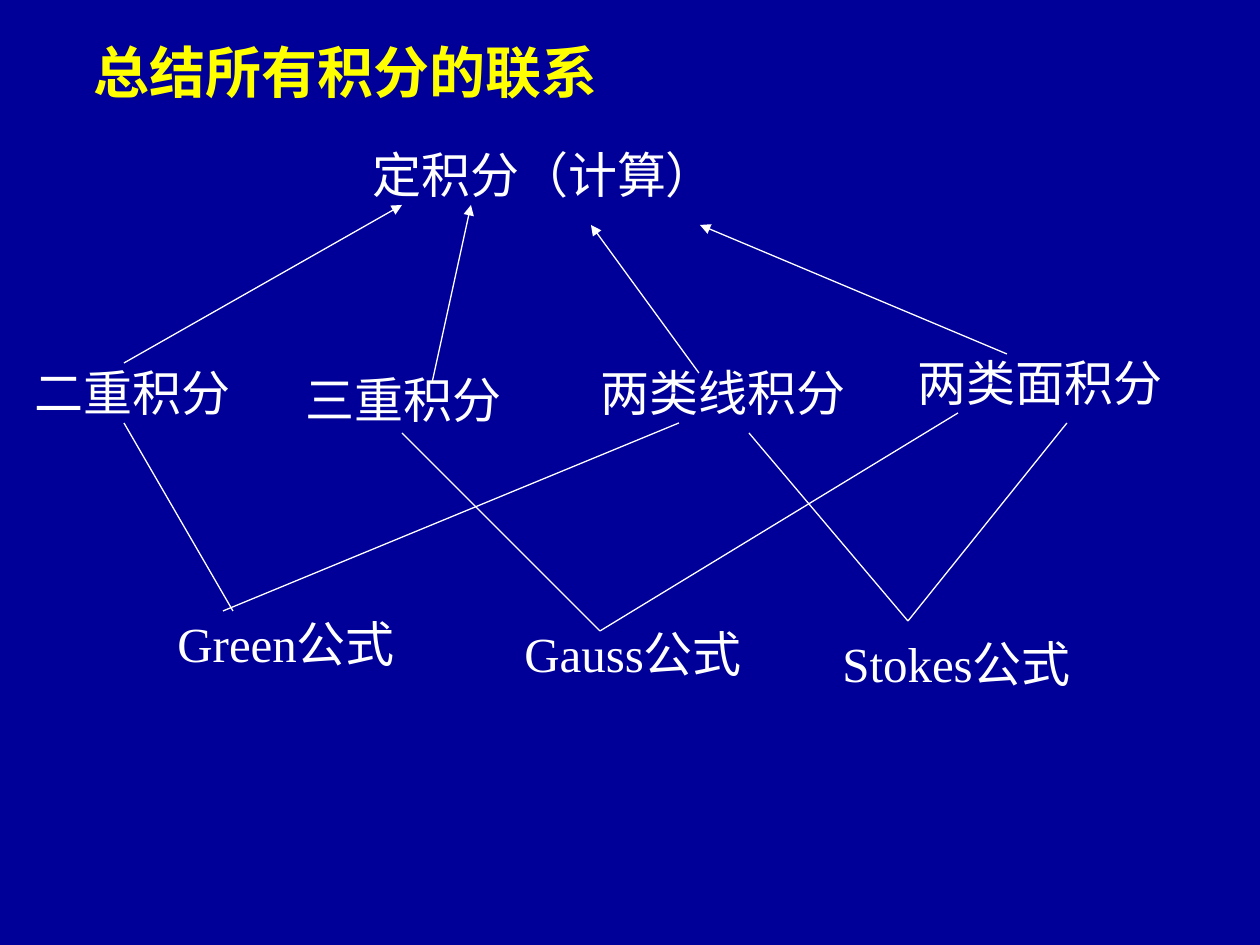
from pptx import Presentation, util as u
from pptx.dml.color import RGBColor
from pptx.enum import shapes, text
from pptx.oxml.ns import qn
from lxml import etree

PX = 914400 // 126
HUES = {"back": "000099", "title": "FFFF00", "ink": "FFFFFF"}
FACE = "Times New Roman"


def hue(name):
    return RGBColor.from_string(HUES[name])


def write(shape, words, size=28, color="ink", bold=False):
    frame = shape.text_frame
    frame.word_wrap = False
    frame.auto_size = text.MSO_AUTO_SIZE.SHAPE_TO_FIT_TEXT
    frame.vertical_anchor = text.MSO_ANCHOR.TOP
    para = frame.paragraphs[0]
    para.alignment = text.PP_ALIGN.LEFT
    run = para.add_run()
    run.text = words
    font = run.font
    font.name, font.size, font.bold = FACE, u.Pt(size), bold
    font.color.rgb = hue(color)


class Board:
    def __init__(self, deck):
        self.slide = deck.slides.add_slide(deck.slide_layouts[5])
        fill = self.slide.background.fill
        fill.solid()
        fill.fore_color.rgb = hue("back")

    def title(self, words, x, y, w, h):
        shape = self.slide.shapes.title
        shape.left, shape.top, shape.width, shape.height = (
            v * PX for v in (x, y, w, h))
        write(shape, words, size=32, color="title", bold=True)

    def label(self, words, x, y, w, h=72):
        box = self.slide.shapes.add_textbox(x * PX, y * PX, w * PX, h * PX)
        write(box, words)

    def link(self, start, end, arrow=False):
        line = self.slide.shapes.add_connector(
            shapes.MSO_CONNECTOR.STRAIGHT, *(v * PX for v in start + end))
        line.line.color.rgb = hue("ink")
        line.line.width = u.Pt(0.75)
        if arrow:
            etree.SubElement(line.line._get_or_add_ln(), qn("a:tailEnd"),
                             type="triangle")
        etree.SubElement(line._element.spPr, qn("a:effectLst"))


def main():
    deck = Presentation()
    deck.slide_width, deck.slide_height = u.Inches(10), u.Inches(7.5)
    board = Board(deck)
    board.title("总结所有积分的联系", 81, 31, 536, 81)

    # Definite integral, the four integrals, the three formulas
    for words, x, y, w in (
        ("定积分（计算）", 360, 138, 372),
        ("二重积分", 22, 356, 226),
        ("三重积分", 293, 363, 226),
        ("两类线积分", 588, 356, 274),
        ("两类面积分", 905, 346, 274),
        ("Green公式", 165, 607, 258),
        ("Gauss公式", 512, 617, 258),
        ("Stokes公式", 830, 627, 268),
    ):
        board.label(words, x, y, w)

    # Each integral is computed by the definite integral
    for start, end in (
        ((124, 363), (402, 205)),
        ((432, 383), (471, 205)),
        ((699, 373), (591, 225)),
        ((1007, 354), (700, 225)),
    ):
        board.link(start, end, arrow=True)

    # Each formula joins two integrals
    gauss, stokes = (600, 631), (908, 621)
    for start, end in (
        ((124, 423), (233, 611)),
        ((679, 423), (223, 611)),
        ((402, 433), gauss),
        ((958, 413), gauss),
        ((749, 433), stokes),
        ((1067, 423), stokes),
    ):
        board.link(start, end)

    deck.save("out.pptx")


if __name__ == "__main__":
    main()
